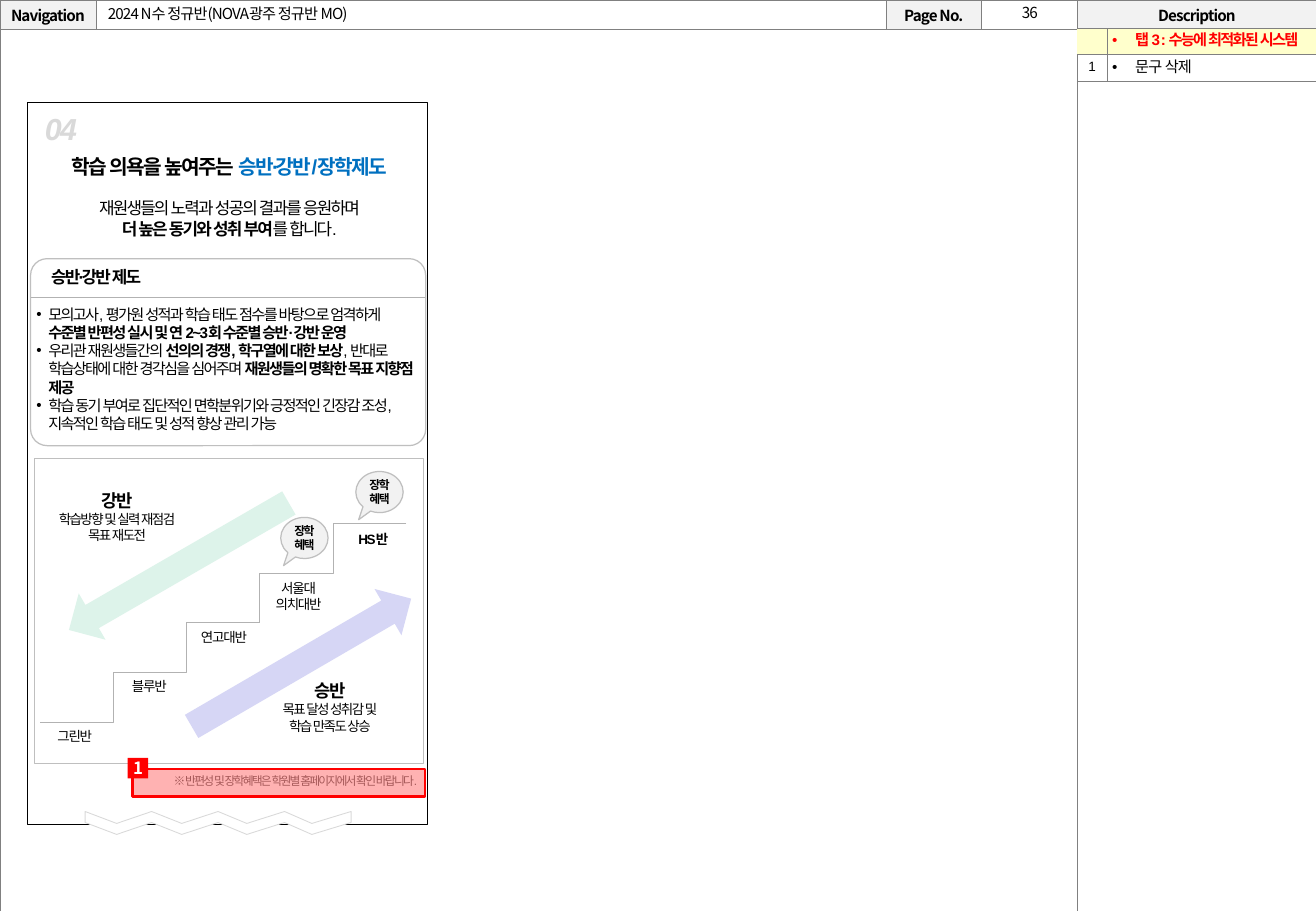
import pptx
import pptx.util
import pptx.dml.color
import pptx.enum.shapes
import pptx.enum.text
import pptx.oxml.ns
import lxml.etree

Cm, Pt = pptx.util.Cm, pptx.util.Pt
SHAPE = pptx.enum.shapes.MSO_SHAPE
LINK = pptx.enum.shapes.MSO_CONNECTOR
ALIGN = pptx.enum.text.PP_ALIGN
MID = pptx.enum.text.MSO_ANCHOR.MIDDLE
INK = {"black": "000000", "white": "FFFFFF", "head": "F2F2F2", "grid": "808080",
       "edge": "BFBFBF", "step": "B2B2B2", "pale": "D9D9D9", "blue": "0070C0",
       "red": "FF0000", "mint": "DDF3EA", "lilac": "D6D6F5", "cream": "FFFFCC"}
BOLD = {"bold": True}
HEAD = {"font": "Noto Sans CJK KR", "size": 9, "track": -0.5}
STEP = {"size": 8, "track": -0.8}


def tint(name):
    return pptx.dml.color.RGBColor.from_string(INK[name])


def add(parent, tag, **attrs):
    return lxml.etree.SubElement(parent, pptx.oxml.ns.qn(tag), attrs)


class Page:
    """Holds the base text style and the current slide; lengths are in cm."""

    base = {"font": "Arial", "size": 9, "color": "black", "track": -1}

    def __init__(self, slide):
        self.slide = slide
        self.shapes = slide.shapes

    def style(self, run, fmt):
        fmt = {**self.base, **fmt}
        props = run._r.get_or_add_rPr()
        props.set("spc", str(int(fmt["track"] * 100)))
        looks = {"name": fmt["font"], "size": Pt(fmt["size"]),
                 "bold": fmt.get("bold", False), "italic": fmt.get("italic", False)}
        for key, value in looks.items():
            setattr(run.font, key, value)
        run.font.color.rgb = tint(fmt["color"])
        add(props, "a:ea", typeface=fmt["font"])

    def put(self, frame, paras, align=ALIGN.CENTER, dent=None, lead=None, **fmt):
        """Fill a frame; a paragraph is a string or a list of (text, format) runs."""
        for i, runs in enumerate(paras):
            para = frame.paragraphs[0] if i == 0 else frame.add_paragraph()
            para.alignment = align
            if lead:
                para.line_spacing = lead
            if dent:
                props = para._p.get_or_add_pPr()
                props.set("marL", str(Cm(dent)))
                props.set("indent", str(-Cm(dent)))
                add(props, "a:buFont", typeface="Arial")
                add(props, "a:buChar", char="•")
            for text, extra in [(runs, {})] if isinstance(runs, str) else runs:
                run = para.add_run()
                run.text = text
                self.style(run, {**fmt, **extra})

    def text(self, x, y, w, h, paras, **fmt):
        frame = self.shapes.add_textbox(Cm(x), Cm(y), Cm(w), Cm(h)).text_frame
        frame.word_wrap = True
        self.put(frame, paras, **fmt)
        return frame

    def title(self, x, y, w, h, text, **fmt):
        shape = self.shapes.title
        place = {"left": x, "top": y, "width": w, "height": h}
        for key, value in place.items():
            setattr(shape, key, Cm(value))
        shape.text_frame.vertical_anchor = MID
        self.put(shape.text_frame, [text], align=ALIGN.LEFT, **fmt)
        self.shapes.element.append(shape.element)

    def paint(self, shape, fill=None, line=None, width=0.25):
        shape.shadow.inherit = False
        if fill:
            shape.fill.solid()
            shape.fill.fore_color.rgb = tint(fill)
        else:
            shape.fill.background()
        if line:
            shape.line.color.rgb = tint(line)
            shape.line.width = Pt(width)
        else:
            shape.line.fill.background()
        return shape

    def shape(self, kind, x, y, w, h, adjust=(), turn=0, **look):
        shape = self.shapes.add_shape(kind, Cm(x), Cm(y), Cm(w), Cm(h))
        for i, value in enumerate(adjust):
            shape.adjustments[i] = value
        shape.rotation = turn
        return self.paint(shape, **look)

    def label(self, shape, paras, **fmt):
        frame = shape.text_frame
        for side in ("left", "right", "top", "bottom"):
            setattr(frame, "margin_" + side, 0)
        frame.word_wrap = False
        frame.vertical_anchor = MID
        self.put(frame, paras, **fmt)

    def link(self, kind, *ends):
        line = self.shapes.add_connector(kind, *map(Cm, ends))
        line.line.color.rgb = tint("step")
        line.line.width = Pt(0.25)
        add(line.element.spPr, "a:effectLst")

    def free(self, points, **look):
        (x, y), *rest = [(Cm(a), Cm(b)) for a, b in points]
        edge = self.shapes.build_freeform(x, y)
        edge.add_line_segments(rest, close=True)
        self.paint(edge.convert_to_shape(), **look)

    def table(self, x, y, cols, rows):
        size = Cm(sum(cols)), Cm(sum(rows))
        grid = self.shapes.add_table(len(rows), len(cols), Cm(x), Cm(y), *size).table
        grid.first_row = grid.horz_banding = False
        for col, width in zip(grid.columns, cols):
            col.width = Cm(width)
        for row, height in zip(grid.rows, rows):
            row.height = Cm(height)
        return grid

    def cell(self, cell, text="", fill=None, sides="LRTB", pad=0, **fmt):
        for side in ("left", "right", "top", "bottom"):
            setattr(cell, "margin_" + side, Cm(pad))
        cell.vertical_anchor = MID
        props = cell._tc.get_or_add_tcPr()
        for side in "LRTB":
            edge = add(props, "a:ln" + side, w=str(Pt(0.25)))
            if side in sides:
                add(add(edge, "a:solidFill"), "a:srgbClr", val=INK["grid"])
            else:
                add(edge, "a:noFill")
        if fill:
            cell.fill.solid()
            cell.fill.fore_color.rgb = tint(fill)
        else:
            cell.fill.background()
        if text:
            self.put(cell.text_frame, [text], **fmt)
        else:
            add(cell.text_frame.paragraphs[0]._p, "a:endParaRPr", sz="800")


def frame(page):
    grid = page.table(0, 0, [2, 16.52, 2, 2, 5], [0.61, 18.46])
    for i, text in enumerate(["Navigation", "", "Page No.", "", "Description"]):
        page.cell(grid.cell(0, i), text, "head" if text else "white", **HEAD, **BOLD)
        page.cell(grid.cell(1, i), fill="white")
    grid.cell(1, 0).merge(grid.cell(1, 3))
    page.text(20.55, -0.05, 1.96, 0.64, ["36"], **HEAD)
    page.title(2, 0, 16.56, 0.58, "2024 N수 정규반(NOVA광주 정규반 MO)", **HEAD)


def stairs(page):
    page.shape(SHAPE.RECTANGLE, 0.71, 9.58, 8.13, 6.38, fill="white", line="edge")
    for i in range(4):
        x, y = 0.84 + 1.53 * i, 15.1 - 1.04 * i
        page.link(LINK.ELBOW, x + 3.06, y - 1.04, x, y)
    names = [["그린반"], ["블루반"], ["연고대반"], ["서울대", "의치대반"], ["HS반"]]
    for i, name in enumerate(names):
        page.text(0.7 + 1.56 * i, 15.09 - 1.03 * i, 1.73, 0.61, name,
                  bold=i == 4, **STEP)
    page.shape(SHAPE.UP_ARROW, 5.74, 11.2, 1.12, 5.31, turn=59.8, fill="lilac")
    page.shape(SHAPE.UP_ARROW, 3.18, 9.19, 1.12, 5.31, turn=240, fill="mint")
    notes = [(5.21, 14.1, "승반", "목표 달성 성취감 및", "학습 만족도 상승"),
             (0.76, 10.11, "강반", "학습방향 및 실력 재점검", "목표 재도전")]
    for x, y, head, *lines in notes:
        top = [(head, {"size": 10.5, **BOLD})]
        page.text(x, y, 3.38, 1.4, [top, *lines], size=8)
    for x, y in [(7.44, 9.86), (5.87, 10.82)]:
        bubble = page.shape(SHAPE.OVAL_CALLOUT, x, y, 0.99, 0.86, (-0.441, 0.674),
                            fill="head", line="edge", width=0)
        page.label(bubble, ["장학", "혜택"], size=7, track=-0.8, **BOLD)


def intro(page):
    box = page.text(0.3, 3.1, 8.99, 2.06, [
        [("학습 의욕을 높여주는 ", {"size": 12, **BOLD}),
         ("승반∙강반/장학제도", {"size": 12, "color": "blue", **BOLD})],
        "재원생들의 노력과 성공의 결과를 응원하며",
        [("더 높은 동기와 성취 부여", BOLD), ("를 합니다.", {})]], size=10)
    box.paragraphs[1].space_before = Pt(11.5)
    page.shape(SHAPE.ROUNDED_RECTANGLE, 0.64, 5.41, 8.26, 3.91, (0.088,),
               fill="white", line="edge", width=0)
    page.link(LINK.STRAIGHT, 0.64, 6.22, 8.89, 6.22)
    page.text(0.03, 5.46, 3.96, 0.69, ["승반∙강반 제도"], size=10, **BOLD)
    page.shape(SHAPE.RECTANGLE, 0.58, 2.13, 8.36, 15.11, line="black")
    tops = [(1.78, 16.97)]
    for i in range(4):
        tops += [(2.44 + 1.36 * i, 17.22), (3.17 + 1.39 * i, 16.97)]
    lows = [(x, y + 0.23) for x, y in reversed(tops)]
    page.free(tops + lows, fill="white", line="pale", width=0.5)
    page.text(0.69, 2.18, 2.21, 1.02, ["04"], align=ALIGN.LEFT, size=18,
              color="pale", italic=True, **BOLD)
    page.text(2.44, 16.05, 6.53, 0.56,
              ["※ 반편성 및 장학혜택은 학원별 홈페이지에서 확인 바랍니다."],
              align=ALIGN.RIGHT, size=7, color="grid")
    page.text(0.51, 6.25, 8.41, 2.95, [
        [("모의고사, 평가원 성적과 학습 태도 점수를 바탕으로 엄격하게 ", {}),
         ("수준별 반편성 실시 및 연 2~3회 수준별 승반·강반 운영", BOLD)],
        [("우리관 재원생들간의 ", {}), ("선의의 경쟁, 학구열에 대한 보상", BOLD),
         (", 반대로 학습상태에 대한 경각심을 심어주며 ", {}),
         ("재원생들의 명확한 목표 지향점 제공", BOLD)],
        "학습 동기 부여로 집단적인 면학분위기와 긍정적인 긴장감 조성, "
        "지속적인 학습 태도 및 성적 향상 관리 가능"], align=ALIGN.LEFT, dent=0.25)


def marks(page):
    grid = page.table(22.51, 0.59, [0.64, 4.36], [0.55, 0.55])
    item = {"pad": 0.1, "lead": 0.9, "dent": 0.48, "align": ALIGN.LEFT}
    page.cell(grid.cell(0, 0), fill="cream", sides="TB", pad=0.1)
    page.cell(grid.cell(0, 1), "탭 3 : 수능에 최적화된 시스템", "cream",
              color="red", **item, **BOLD)
    page.cell(grid.cell(1, 0), "1", sides="TB", pad=0.1, lead=0.9, size=8)
    page.cell(grid.cell(1, 1), "문구 삭제", track=-0.5, **item)
    veil = page.shape(SHAPE.RECTANGLE, 2.77, 16.08, 6.12, 0.58,
                      fill="red", line="red", width=1.5)
    color = veil.element.spPr.find(".//" + pptx.oxml.ns.qn("a:srgbClr"))
    add(color, "a:alpha", val="30000")
    badge = page.shape(SHAPE.RECTANGLE, 2.67, 15.85, 0.43, 0.43, fill="red")
    page.label(badge, ["1"], font=HEAD["font"], size=10, color="white", track=0, **BOLD)


def main():
    deck = pptx.Presentation()
    deck.slide_width, deck.slide_height = Cm(27.51), Cm(19.05)
    page = Page(deck.slides.add_slide(deck.slide_layouts[5]))
    for draw in (frame, stairs, intro, marks):
        draw(page)
    deck.save("out.pptx")


if __name__ == "__main__":
    main()
